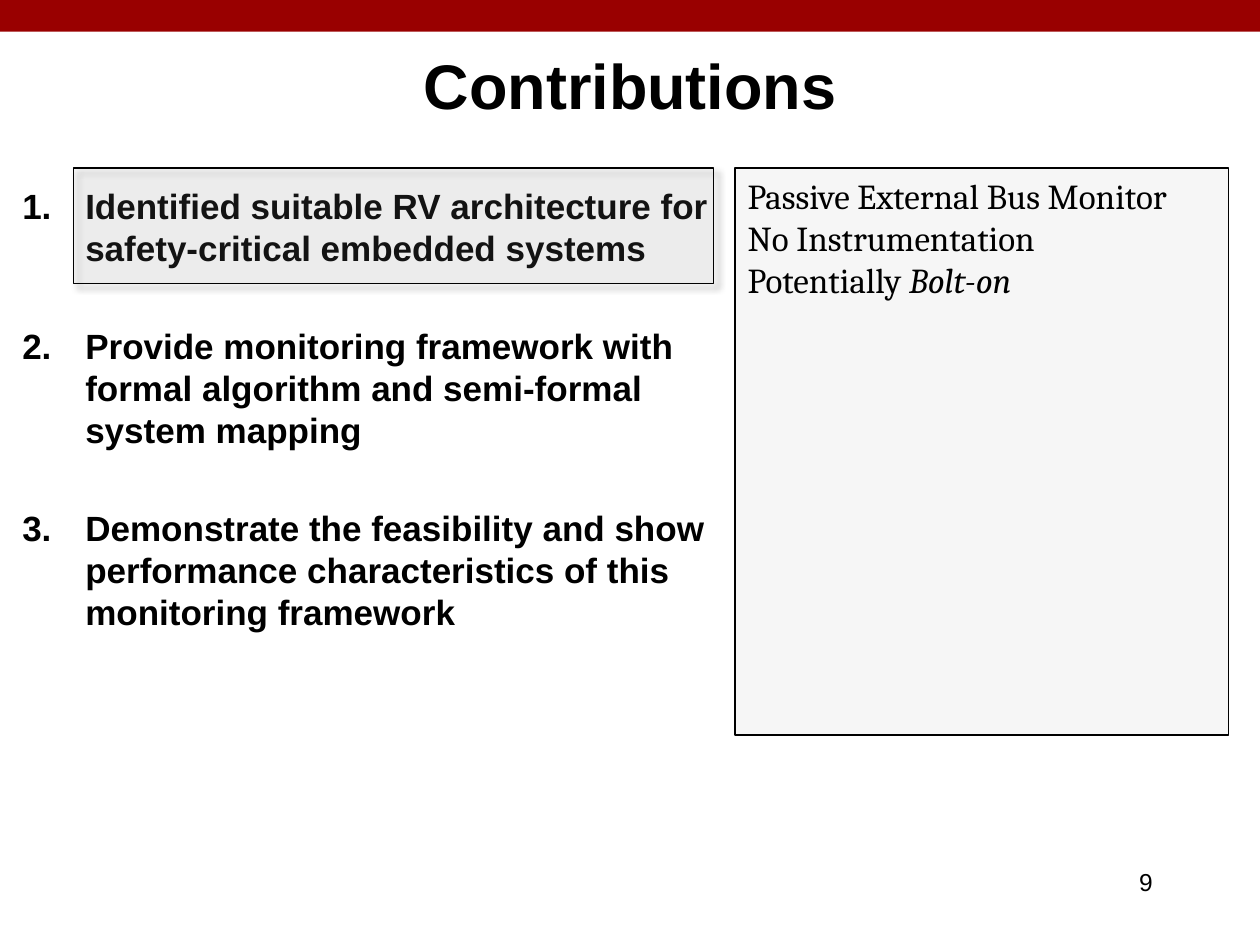
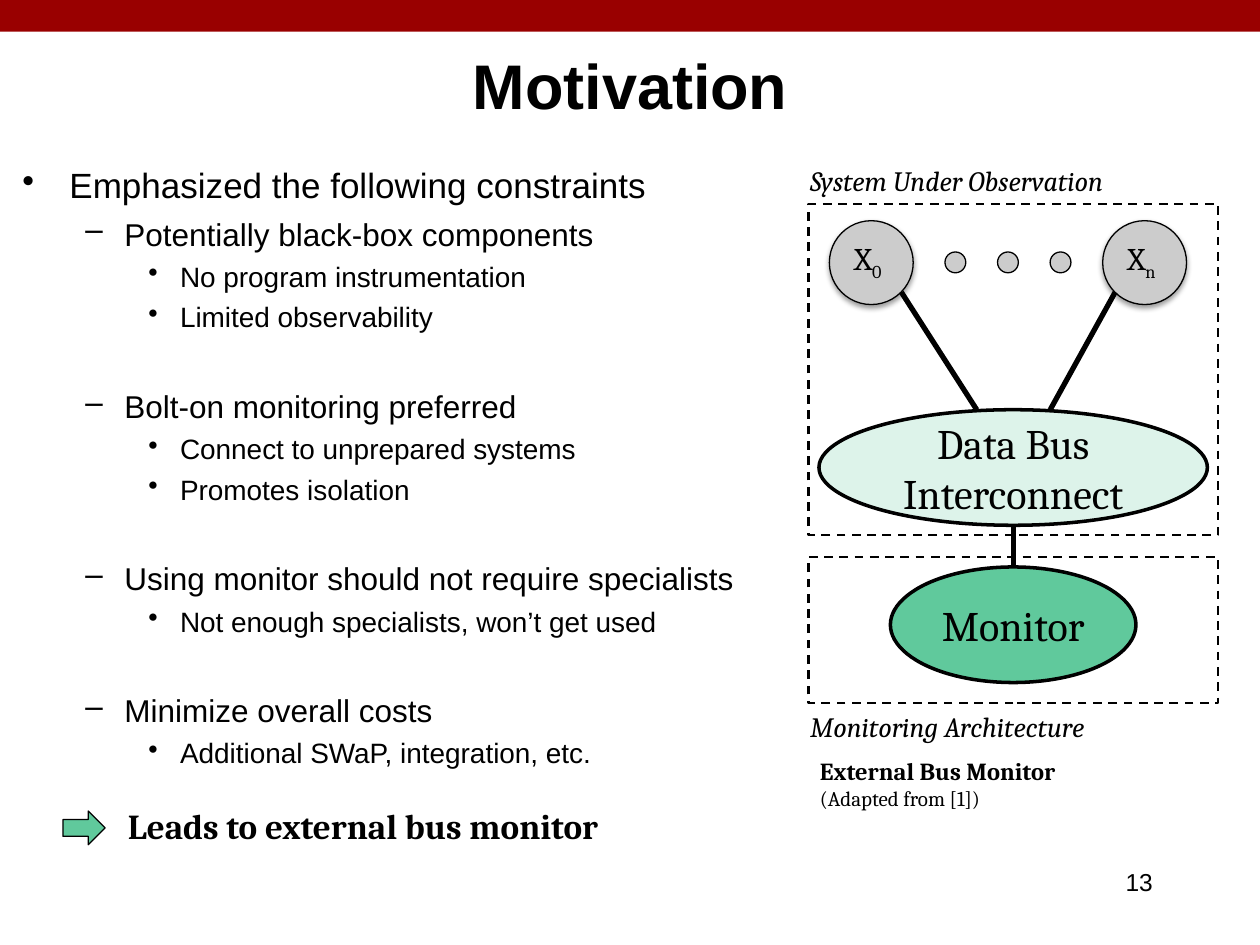
from lxml import etree
from pptx import Presentation
from pptx.dml.color import RGBColor
from pptx.enum.dml import MSO_LINE
from pptx.enum.shapes import MSO_CONNECTOR, MSO_SHAPE
from pptx.enum.text import MSO_ANCHOR, PP_ALIGN
from pptx.oxml.ns import qn
from pptx.util import Cm, Pt

RECTANGLE, ELLIPSE = MSO_SHAPE.RECTANGLE, MSO_SHAPE.OVAL
ARROW = MSO_SHAPE.RIGHT_ARROW
STRAIGHT = MSO_CONNECTOR.STRAIGHT
DASH = MSO_LINE.DASH
LEFT, CENTER, RIGHT = PP_ALIGN.LEFT, PP_ALIGN.CENTER, PP_ALIGN.RIGHT
TOP, MIDDLE = MSO_ANCHOR.TOP, MSO_ANCHOR.MIDDLE

BLACK, RED, WHITE = "000000", "990000", "FFFFFF"
GRAY, NODE_GRAY = "B2B2B2", "CCCCCC"
GREEN, PALE_GREEN = "60C99C", "DDF3EA"
SANS, SERIF = "Arial", "Cambria"
TITLE_ONLY = 5

# Per level: bullet, size, left indent (cm), hanging indent (cm), space before (pt)
BULLET_LEVELS = [
    ("•", 20, 0.95, 0.95, 0),
    ("–", 18, 2.06, 0.79, 5),
    ("•", 16, 3.18, 0.64, 4),
]
GROUP_GAP = 30.5

CONTRIBUTIONS = [
    "Identified suitable RV architecture for safety-critical embedded systems",
    "Provide monitoring framework with formal algorithm and semi-formal system mapping",
    "Demonstrate the feasibility and show performance characteristics of this "
    "monitoring framework",
]
CONSTRAINTS = {
    "Potentially black-box components": ["No program instrumentation", "Limited observability"],
    "Bolt-on monitoring preferred": ["Connect to unprepared systems", "Promotes isolation"],
    "Using monitor should not require specialists": ["Not enough specialists, won’t get used"],
    "Minimize overall costs": ["Additional SWaP, integration, etc."],
}


def color(hex_string):
    return RGBColor.from_string(hex_string)


# Text

def write(paragraph, text, size=20, font=SANS, bold=False, italic=False, align=LEFT,
          baseline=None):
    """Add one formatted run to a paragraph."""
    paragraph.alignment = align
    run = paragraph.add_run()
    run.text = text
    run.font.size = Pt(size)
    run.font.name = font
    run.font.bold = bold
    run.font.italic = italic
    run.font.color.rgb = color(BLACK)
    if baseline:
        run.font._element.set("baseline", str(baseline * 1000))


def next_paragraph(frame):
    first = frame.paragraphs[0]
    return frame.add_paragraph() if first.runs else first


def set_bullet(paragraph, indent, hanging, character=None):
    """Give a paragraph a bullet character, or a number when there is none."""
    properties = paragraph._p.get_or_add_pPr()
    properties.set("marL", str(Cm(indent)))
    properties.set("indent", str(-Cm(hanging)))
    if character:
        etree.SubElement(properties, qn("a:buChar"), char=character)
    else:
        etree.SubElement(properties, qn("a:buAutoNum"), type="arabicPeriod")


def add_text_box(slide, left, top, width, height):
    box = slide.shapes.add_textbox(Cm(left), Cm(top), Cm(width), Cm(height))
    box.text_frame.word_wrap = True
    return box.text_frame


def add_label(slide, text, left, top, width, height=0.94, **text_format):
    frame = add_text_box(slide, left, top, width, height)
    write(frame.paragraphs[0], text, **text_format)
    return frame


# Shapes

def add_shape(slide, kind, left, top, width, height, fill=None, opacity=None,
              line=None, dash=None, anchor=TOP):
    shape = slide.shapes.add_shape(kind, Cm(left), Cm(top), Cm(width), Cm(height))
    shape.shadow.inherit = False
    if fill:
        shape.fill.solid()
        shape.fill.fore_color.rgb = color(fill)
    else:
        shape.fill.background()
    if opacity:
        tint = shape._element.spPr.find(f"{qn('a:solidFill')}/{qn('a:srgbClr')}")
        etree.SubElement(tint, qn("a:alpha"), val=str(opacity * 1000))
    if line:
        shape.line.color.rgb = color(BLACK)
        shape.line.width = Pt(line)
    else:
        shape.line.fill.background()
    if dash:
        shape.line.dash_style = dash
    shape.text_frame.vertical_anchor = anchor
    return shape


def add_shadow(shape, opacity, blur, distance, angle):
    effects = shape._element.spPr.find(qn("a:effectLst"))
    shadow = etree.SubElement(
        effects, qn("a:outerShdw"), blurRad=str(Pt(blur)), dist=str(Pt(distance)),
        dir=str(angle * 60000), algn="t", rotWithShape="0")
    tint = etree.SubElement(shadow, qn("a:srgbClr"), val=BLACK)
    etree.SubElement(tint, qn("a:alpha"), val=str(opacity * 1000))


def add_node(slide, subscript, left):
    node = add_shape(slide, ELLIPSE, left, 4.45, 1.69, 1.69, NODE_GRAY, line=0.75)
    add_shadow(node, 38, 3.1, 1.6, 90)
    paragraph = node.text_frame.paragraphs[0]
    write(paragraph, "X", size=18, font=SERIF)
    write(paragraph, subscript, size=18, font=SERIF, baseline=-25)


def add_component(slide, text, left, top, width, fill):
    component = add_shape(slide, ELLIPSE, left, top, width, 2.33, fill, line=2, anchor=MIDDLE)
    write(component.text_frame.paragraphs[0], text, size=24, font=SERIF, align=CENTER)


def add_link(slide, start, end):
    link = slide.shapes.add_connector(STRAIGHT, *(Cm(value) for value in start + end))
    link.line.color.rgb = color(BLACK)
    link.line.width = Pt(3)
    etree.SubElement(link._element.spPr, qn("a:effectLst"))


# Slides

def add_slide(presentation, title, number):
    """Add a slide with the shared title style and page number."""
    slide = presentation.slides.add_slide(presentation.slide_layouts[TITLE_ONLY])
    slide.background.fill.solid()
    slide.background.fill.fore_color.rgb = color(WHITE)
    add_shape(slide, RECTANGLE, 0, 0, 25.4, 0.64, RED)
    heading = slide.shapes.title
    heading.left, heading.top = Cm(1.91), Cm(0.64)
    heading.width, heading.height = Cm(21.59), Cm(2.12)
    heading.text_frame.vertical_anchor = MIDDLE
    write(heading.text_frame.paragraphs[0], title, size=36, bold=True, align=CENTER)
    add_label(slide, str(number), 18.2, 17.36, 5.29, 1.27, size=14, align=RIGHT)
    return slide


def build_contributions(presentation):
    slide = add_slide(presentation, "Contributions", 9)

    # Numbered list
    frame = add_text_box(slide, 0.2, 3.6, 14.61, 12.9)
    for index, contribution in enumerate(CONTRIBUTIONS):
        paragraph = next_paragraph(frame)
        paragraph.line_spacing = Pt(24)
        paragraph.space_before = Pt(32 if index else 0)
        set_bullet(paragraph, 1.27, 1.27)
        write(paragraph, contribution, bold=True)

    # Highlight of the first contribution and its findings
    highlight = add_shape(slide, RECTANGLE, 1.48, 3.39, 12.91, 2.33, GRAY, opacity=11, line=0.75)
    add_shadow(highlight, 40, 4, 3, 45)
    findings = add_shape(slide, RECTANGLE, 14.82, 3.39, 9.95, 11.43, GRAY, opacity=11, line=0.75)
    for finding in ["Passive External Bus Monitor", "No Instrumentation", "Potentially"]:
        paragraph = next_paragraph(findings.text_frame)
        write(paragraph, finding, font=SERIF)
    write(paragraph, " Bolt-on", font=SERIF, italic=True)


def add_bullet(frame, text, level, space_before=None):
    character, size, indent, hanging, default_space = BULLET_LEVELS[level]
    paragraph = next_paragraph(frame)
    paragraph.level = level
    paragraph.space_before = Pt(default_space if space_before is None else space_before)
    set_bullet(paragraph, indent, hanging, character)
    write(paragraph, text, size=size)


def add_constraints(slide):
    frame = add_text_box(slide, 0.2, 3.18, 16, 12.7)
    add_bullet(frame, "Emphasized the following constraints", 0)
    for index, (constraint, details) in enumerate(CONSTRAINTS.items()):
        add_bullet(frame, constraint, 1, GROUP_GAP if index else None)
        for detail in details:
            add_bullet(frame, detail, 2)


def add_architecture(slide):
    # Observed nodes
    for subscript, left in [("0", 16.72), ("n", 22.23)]:
        add_node(slide, subscript, left)
    for index in range(3):
        add_shape(slide, ELLIPSE, 19.05 + 1.06 * index, 5.08, 0.42, 0.42, NODE_GRAY, line=0.75)

    # Bus and monitor with their links
    add_component(slide, "Data Bus Interconnect", 16.51, 8.26, 7.83, PALE_GREEN)
    add_component(slide, "Monitor", 17.95, 11.43, 4.95, GREEN)
    add_link(slide, (18.17, 5.89), (19.69, 8.26))
    add_link(slide, (22.48, 5.89), (21.17, 8.26))
    add_link(slide, (20.43, 10.58), (20.43, 11.43))

    # Dashed frames and captions
    for top, height in [(4.12, 6.67), (11.23, 2.95)]:
        add_shape(slide, RECTANGLE, 16.3, top, 8.26, height, line=1.25, dash=DASH)
    for caption, top in [("System Under Observation", 3.18), ("Monitoring Architecture", 14.18)]:
        add_label(slide, caption, 16.08, top, 7, size=16, font=SERIF, italic=True)
    frame = add_label(slide, "External Bus Monitor", 16.28, 15.11, 6, 1.37,
                      size=14, font=SERIF, bold=True)
    write(frame.add_paragraph(), "(Adapted from [1])", size=12, font=SERIF)


def build_motivation(presentation):
    slide = add_slide(presentation, "Motivation", 13)
    add_constraints(slide)
    add_label(slide, "Leads to external bus monitor", 2.33, 16.09, 11.43, 1.11,
              font=SERIF, bold=True)
    add_shape(slide, ARROW, 1.27, 16.35, 0.85, 0.68, GREEN, line=0.75)
    add_architecture(slide)


def main():
    presentation = Presentation()
    presentation.slide_width, presentation.slide_height = Cm(25.4), Cm(19.05)
    build_contributions(presentation)
    build_motivation(presentation)
    presentation.save("out.pptx")


if __name__ == "__main__":
    main()
